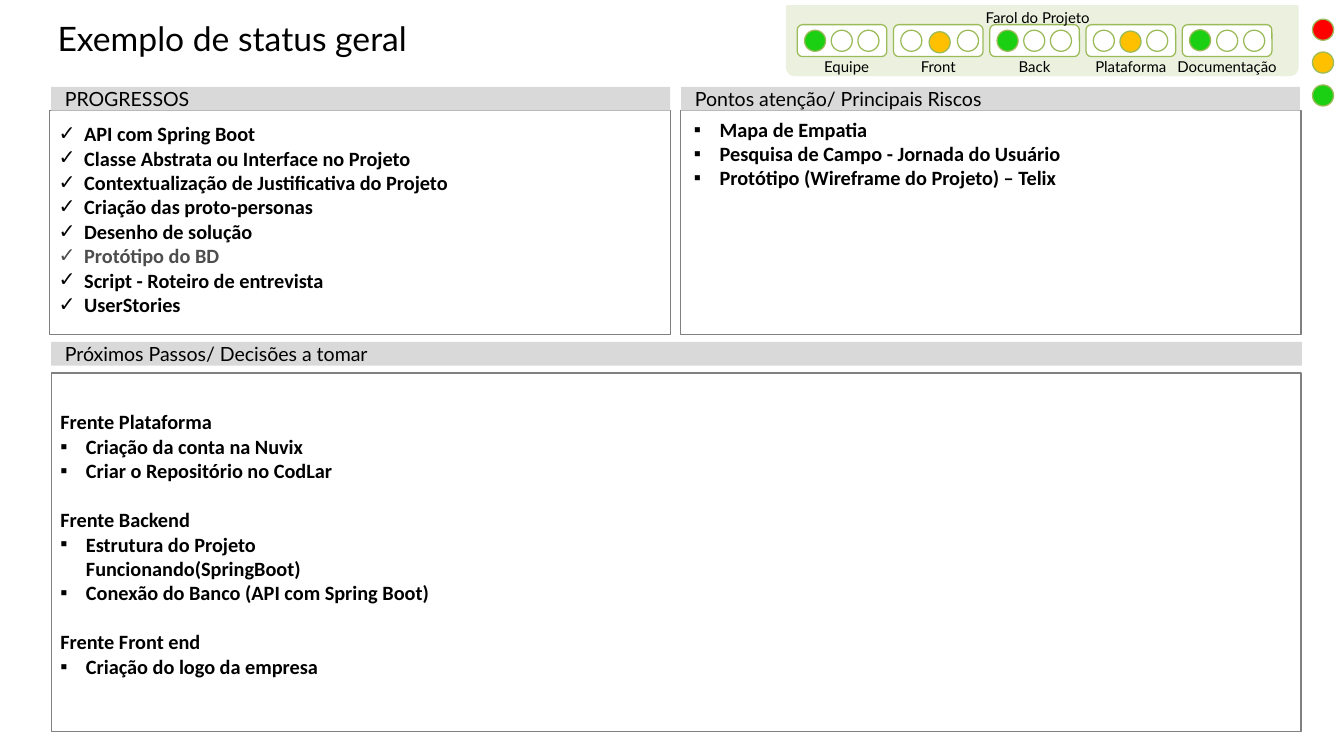
"""Build the project status slide with its traffic lights."""
import dataclasses

import lxml.etree
import pptx
import pptx.dml.color
import pptx.enum.shapes
import pptx.enum.text
import pptx.oxml.ns
import pptx.shapes.autoshape
import pptx.shapes.base
import pptx.text.text
import pptx.util

BLACK = pptx.dml.color.RGBColor(0x00, 0x00, 0x00)
WHITE = pptx.dml.color.RGBColor(0xFF, 0xFF, 0xFF)
DARK = pptx.dml.color.RGBColor(0x4D, 0x4D, 0x4D)
GRAY = pptx.dml.color.RGBColor(0x80, 0x80, 0x80)
SILVER = pptx.dml.color.RGBColor(0xD9, 0xD9, 0xD9)
PALE = pptx.dml.color.RGBColor(0xEB, 0xF1, 0xDE)
OLIVE = pptx.dml.color.RGBColor(0x9B, 0xBB, 0x59)
RED = pptx.dml.color.RGBColor(0xFF, 0x00, 0x00)
AMBER = pptx.dml.color.RGBColor(0xFF, 0xC0, 0x00)
GREEN = pptx.dml.color.RGBColor(0x1B, 0xCF, 0x13)

SHAPE = pptx.enum.shapes.MSO_SHAPE
ANCHOR = pptx.enum.text.MSO_ANCHOR
ALIGN = pptx.enum.text.PP_ALIGN
LAMP = 16.6


@dataclasses.dataclass(frozen=True)
class Box:
    left: float
    top: float
    width: float
    height: float


@dataclasses.dataclass(frozen=True)
class Light:
    name: str
    color: pptx.dml.color.RGBColor
    lit: int
    pitch: float = 21
    drop: float = 0
    shift: float = 0


@dataclasses.dataclass(frozen=True)
class Item:
    text: str
    mark: str = ""
    color: pptx.dml.color.RGBColor = BLACK
    gap: float = 0


@dataclasses.dataclass(frozen=True)
class Panel:
    slot: int
    box: Box
    inset: tuple[float, float, float, float]
    items: list[Item]
    anchor: ANCHOR = ANCHOR.TOP
    columns: int = 1


LIGHTS = [
    Light("Equipe", GREEN, 0, shift=3.6),
    Light("Front", AMBER, 1, pitch=22.3, drop=1.2),
    Light("Back", GREEN, 0),
    Light("Plataforma", AMBER, 1, drop=0.7),
    Light("Documentação", GREEN, 0, pitch=21.3, drop=-0.4),
]
HEADS = [
    ("PROGRESSOS", Box(40.3, 68.4, 487.4, 18.7)),
    ("Pontos atenção/ Principais Riscos", Box(536.4, 68.4, 487.4, 18.7)),
    ("Próximos Passos/ Decisões a tomar", Box(40.3, 269.3, 985, 18.7)),
]
PANELS = [
    Panel(1, Box(38.9, 87.1, 488.9, 176.4), (7.2, 8.6, 7.2, 3.6), [
        Item("API com Spring Boot", "✓"),
        Item("Classe Abstrata ou Interface no Projeto", "✓"),
        Item("Contextualização de Justificativa do Projeto", "✓"),
        Item("Criação das proto-personas", "✓"),
        Item("Desenho de solução", "✓"),
        Item("Protótipo do BD", "✓", DARK),
        Item("Script - Roteiro de entrevista", "✓"),
        Item("UserStories", "✓"),
    ]),
    Panel(2, Box(535.7, 87.1, 488.9, 176.4), (10.8, 5, 7.2, 3.6), [
        Item("Mapa de Empatia", "▪"),
        Item("Pesquisa de Campo - Jornada do Usuário", "▪"),
        Item("Protótipo (Wireframe do Projeto) – Telix", "▪"),
    ]),
    Panel(3, Box(40.3, 293.8, 984.2, 282.2), (7.2, 8.6, 7.2, 21.6), [
        Item("Frente Plataforma"),
        Item("Criação da conta na Nuvix", "▪"),
        Item("Criar o Repositório no CodLar", "▪"),
        Item("Frente Backend", gap=19.5),
        Item("Estrutura do Projeto Funcionando(SpringBoot)", "▪"),
        Item("Conexão do Banco (API com Spring Boot)", "▪"),
        Item("Frente Front end", gap=19.5),
        Item("Criação do logo da empresa", "▪"),
    ], ANCHOR.MIDDLE, 3),
]


def place(shape: pptx.shapes.base.BaseShape, box: Box) -> None:
    shape.left, shape.top = pptx.util.Pt(box.left), pptx.util.Pt(box.top)
    shape.width, shape.height = pptx.util.Pt(box.width), pptx.util.Pt(box.height)


def pad(frame: pptx.text.text.TextFrame, inset: tuple[float, float, float, float], anchor: ANCHOR) -> None:
    frame.margin_left, frame.margin_top, frame.margin_right, frame.margin_bottom = map(pptx.util.Pt, inset)
    frame.vertical_anchor = anchor
    frame.auto_size = pptx.enum.text.MSO_AUTO_SIZE.NONE


def style(para: pptx.text.text._Paragraph, size: float, face: str = "Lato", bold: bool = False,
          color: pptx.dml.color.RGBColor = BLACK, align: ALIGN = ALIGN.LEFT) -> None:
    para.alignment = align
    font = para.font
    font.size, font.name, font.bold = pptx.util.Pt(size), face, bold
    font.color.rgb = color


def draw(slide: pptx.slide.Slide, kind: SHAPE, box: Box, fill: pptx.dml.color.RGBColor,
         edge: pptx.dml.color.RGBColor | None = None, width: float = 1) -> pptx.shapes.autoshape.Shape:
    shape = slide.shapes.add_shape(kind, 0, 0, 0, 0)
    place(shape, box)
    shape.shadow.inherit = False
    shape.fill.solid()
    shape.fill.fore_color.rgb = fill
    if edge is None:
        shape.line.fill.background()
    else:
        shape.line.color.rgb = edge
        shape.line.width = pptx.util.Pt(width)
    return shape


def lamp(slide: pptx.slide.Slide, left: float, top: float, color: pptx.dml.color.RGBColor) -> None:
    draw(slide, SHAPE.OVAL, Box(left, top, LAMP, LAMP), color, OLIVE)


def label(slide: pptx.slide.Slide, text: str, left: float, top: float) -> None:
    shape = slide.shapes.add_textbox(0, 0, 0, 0)
    place(shape, Box(left, top, 70.6, 14.4))
    frame = shape.text_frame
    pad(frame, (4.3, 4.3, 4.3, 0), ANCHOR.BOTTOM)
    frame.word_wrap = False
    frame.text = text
    style(frame.paragraphs[0], 11.8, align=ALIGN.CENTER)


def light(slide: pptx.slide.Slide, spec: Light, left: float) -> None:
    draw(slide, SHAPE.ROUNDED_RECTANGLE, Box(left, 19.4, 70.6, 25.2), WHITE, OLIVE)
    for spot in range(3):
        on = spot == spec.lit
        lamp(slide, left + 5.8 + spot * spec.pitch, 23.8 + on * spec.drop, spec.color if on else WHITE)
    label(slide, spec.name, left + spec.shift, 45.4)


def bullet(para: pptx.text.text._Paragraph, mark: str) -> None:
    props = para._p.get_or_add_pPr()
    indent = pptx.util.Pt(20.2) if mark else 0
    props.set("marL", str(indent))
    props.set("indent", str(-indent))
    if mark:
        lxml.etree.SubElement(props, pptx.oxml.ns.qn("a:buFont"), typeface="Arial")
        lxml.etree.SubElement(props, pptx.oxml.ns.qn("a:buChar"), char=mark)
    else:
        lxml.etree.SubElement(props, pptx.oxml.ns.qn("a:buNone"))


def fill(slide: pptx.slide.Slide, panel: Panel) -> None:
    shape = slide.placeholders[panel.slot]
    place(shape, panel.box)
    shape.line.color.rgb = GRAY
    shape.line.width = pptx.util.Pt(1)
    frame = shape.text_frame
    pad(frame, panel.inset, panel.anchor)
    frame._txBody.bodyPr.set("numCol", str(panel.columns))
    frame.text = "\n".join(item.text for item in panel.items)
    for para, item in zip(frame.paragraphs, panel.items):
        bullet(para, item.mark)
        para.space_before = pptx.util.Pt(item.gap)
        style(para, 16, "Calibri", True, item.color)


def main() -> None:
    deck = pptx.Presentation()
    deck.slide_width, deck.slide_height = pptx.util.Pt(1058.4), pptx.util.Pt(595.4)
    slide = deck.slides.add_slide(deck.slide_layouts[4])
    spare = slide.placeholders[4].element
    spare.getparent().remove(spare)
    title = slide.shapes.title
    place(title, Box(36.7, 14.4, 952.6, 63.4))
    pad(title.text_frame, (8.6, 0, 8.6, 0), ANCHOR.TOP)
    title.text_frame.text = "Exemplo de status geral"
    style(title.text_frame.paragraphs[0], 26.5)
    for panel in PANELS:
        fill(slide, panel)
    for text, box in HEADS:
        head = draw(slide, SHAPE.RECTANGLE, box, SILVER)
        pad(head.text_frame, (10.8, 5, 10.8, 5), ANCHOR.MIDDLE)
        head.text_frame.text = text
        style(head.text_frame.paragraphs[0], 15.4)
    board = draw(slide, SHAPE.ROUND_2_SAME_RECTANGLE, Box(619.9, 5, 401.8, 54), PALE, PALE, 2)
    board.rotation = 180
    board.adjustments[0] = 0.11
    for place_no, spec in enumerate(LIGHTS):
        light(slide, spec, 627.8 + place_no * 75.8)
    label(slide, "Farol do Projeto", 781.9, 6.5)
    for row, color in enumerate((RED, AMBER, GREEN)):
        lamp(slide, 1033.6, 15.1 + row * 25.9, color)
    deck.save("out.pptx")


if __name__ == "__main__":
    main()
